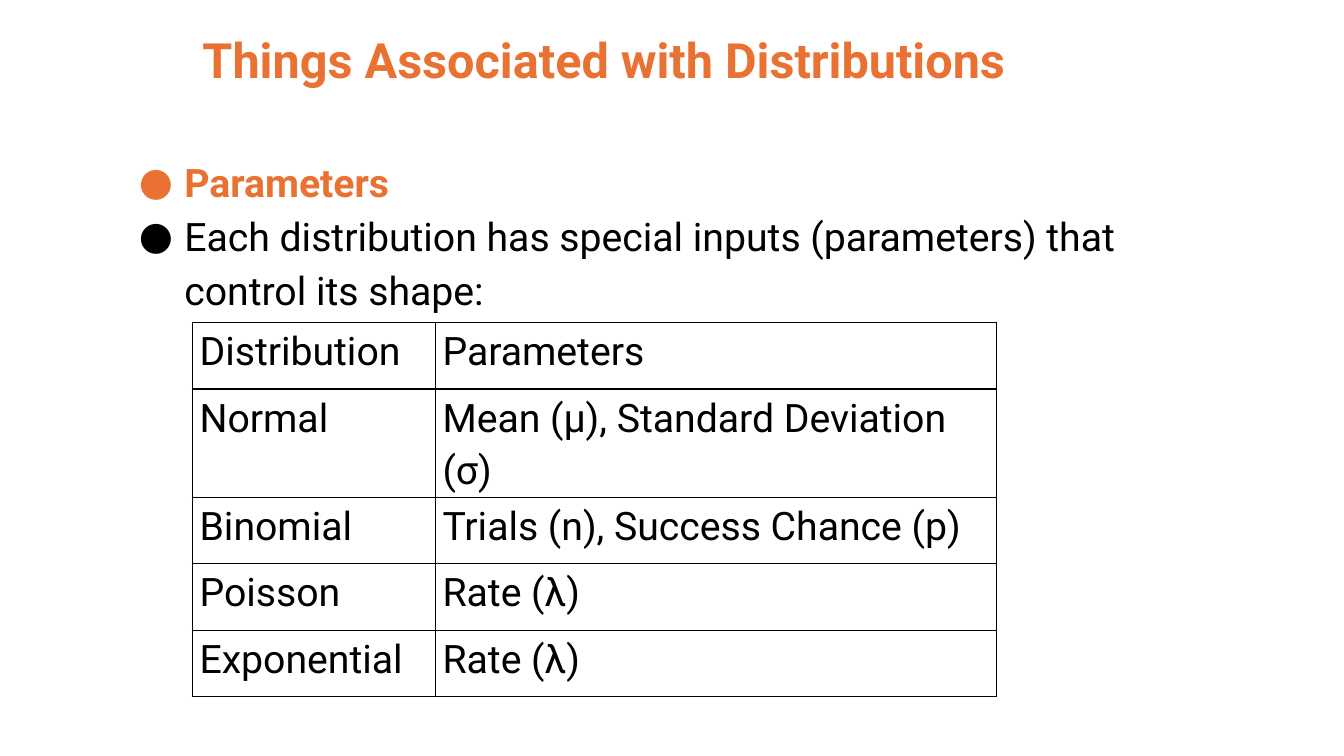
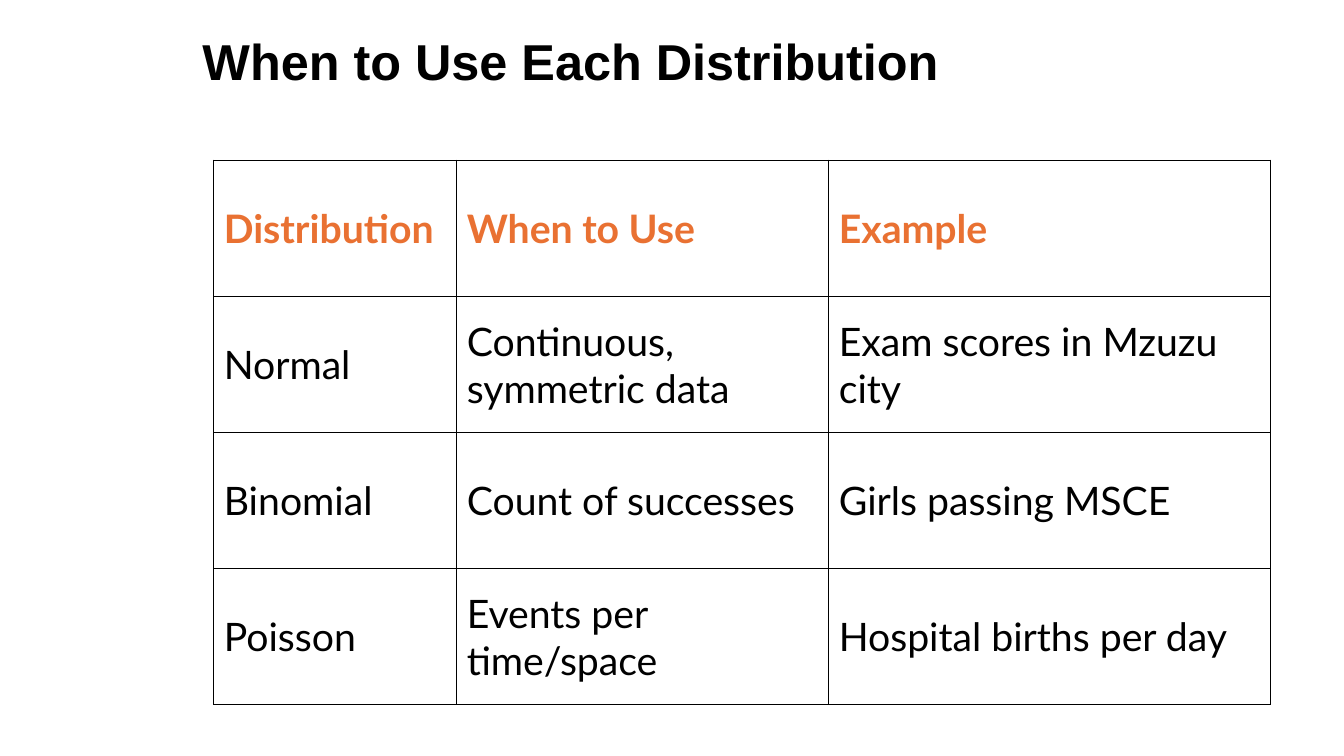
from pptx import Presentation
from pptx.dml.color import RGBColor
from pptx.enum.text import MSO_ANCHOR
from pptx.oxml import parse_xml
from pptx.oxml.ns import nsdecls
from pptx.util import Inches, Pt

ORANGE = RGBColor(0xE9, 0x71, 0x32)
BLACK = RGBColor(0, 0, 0)
TITLE_BOX = (1.91, 0.2, 10.51, 0.78)
BODY_BOX = (1.06, 1.4, 11.21, 5.82)

PARAMS = [
    ("Distribution", "Parameters"),
    ("Normal", "Mean (μ), Standard Deviation (σ)"),
    ("Binomial", "Trials (n), Success Chance (p)"),
    ("Poisson", "Rate (λ)"),
    ("Exponential", "Rate (λ)"),
]
USES = [
    ("Distribution", "When to Use", "Example"),
    ("Normal", "Continuous, symmetric data", "Exam scores in Mzuzu city"),
    ("Binomial", "Count of successes", "Girls passing MSCE"),
    ("Poisson", "Events per time/space", "Hospital births per day"),
]


def write(para, text, size=28, font="Roboto", color=BLACK, bold=False,
          line=None, after=0):
    run = para.add_run()
    run.text = text
    run.font.size = Pt(size)
    run.font.name = font
    run.font.color.rgb = color
    run.font.bold = bold
    para.space_after = Pt(after)
    if line:
        para.line_spacing = line


def add_box(slide, box):
    """Add a wrapping text box with even margins and return its frame."""
    frame = slide.shapes.add_textbox(*map(Inches, box)).text_frame
    frame.word_wrap = True
    frame.margin_left = frame.margin_right = Inches(0.1)
    frame.margin_top = frame.margin_bottom = Inches(0.1)
    return frame


def add_title(slide, text, **style):
    write(add_box(slide, TITLE_BOX).paragraphs[0], text, bold=True, **style)


def add_bullet(para, indent=0.67, hang=0.45):
    props = para._p.get_or_add_pPr()
    props.set("marL", str(Inches(indent)))
    props.set("indent", str(-Inches(hang)))
    props.append(parse_xml(f'<a:buFont {nsdecls("a")} typeface="Roboto"/>'))
    props.append(parse_xml(f'<a:buChar {nsdecls("a")} char="●"/>'))


def add_list(slide, box, items):
    frame = add_box(slide, box)
    for i, (text, style) in enumerate(items):
        para = frame.add_paragraph() if i else frame.paragraphs[0]
        write(para, text, line=1.15, **style)
        add_bullet(para)


def add_border(cell):
    props = cell._tc.get_or_add_tcPr()
    for side in ("lnL", "lnR", "lnT", "lnB"):
        props.append(parse_xml(
            f'<a:{side} {nsdecls("a")} w="{Pt(1)}"><a:solidFill>'
            f'<a:srgbClr val="{BLACK}"/></a:solidFill></a:{side}>'))


def add_grid(slide, left, top, cols, height, rows, style, head=None,
             pad=(0.1, 0.05), anchor=MSO_ANCHOR.TOP):
    """Draw a ruled table; head overrides the style of the first row."""
    table = slide.shapes.add_table(
        len(rows), len(cols), Inches(left), Inches(top),
        Inches(sum(cols)), Inches(height * len(rows))).table
    table.first_row = table.horz_banding = False
    for col, width in zip(table.columns, cols):
        col.width = Inches(width)
    for r, texts in enumerate(rows):
        table.rows[r].height = Inches(height)
        look = style if r else {**style, **(head or {})}
        for c, text in enumerate(texts):
            cell = table.cell(r, c)
            add_border(cell)
            cell.fill.background()
            cell.margin_left = cell.margin_right = Inches(pad[0])
            cell.margin_top = cell.margin_bottom = Inches(pad[1])
            cell.vertical_anchor = anchor
            write(cell.text_frame.paragraphs[0], text, **look)


def params_slide(slide):
    add_title(slide, "Things Associated with Distributions",
              size=34.7, color=ORANGE)
    add_list(slide, BODY_BOX, [
        ("Parameters", {"color": ORANGE, "bold": True}),
        ("Each distribution has special inputs (parameters) that "
         "control its shape:", {}),
    ])
    add_grid(slide, 1.91, 3.2, (2.41, 5.56), 0.66, PARAMS,
             {"line": 1.15, "after": 8}, pad=(0.07, 0))


def uses_slide(slide):
    add_title(slide, "When to Use Each Distribution", size=36, font="Arial")
    add_grid(slide, 2.12, 1.59, (2.41, 3.69, 4.38), 1.35, USES,
             {"font": "Lato"}, head={"color": ORANGE, "bold": True},
             anchor=MSO_ANCHOR.MIDDLE)


def main():
    deck = Presentation()
    deck.slide_width, deck.slide_height = Inches(13.33), Inches(7.5)
    for build in (params_slide, uses_slide):
        build(deck.slides.add_slide(deck.slide_layouts[6]))
    deck.save("out.pptx")


if __name__ == "__main__":
    main()
